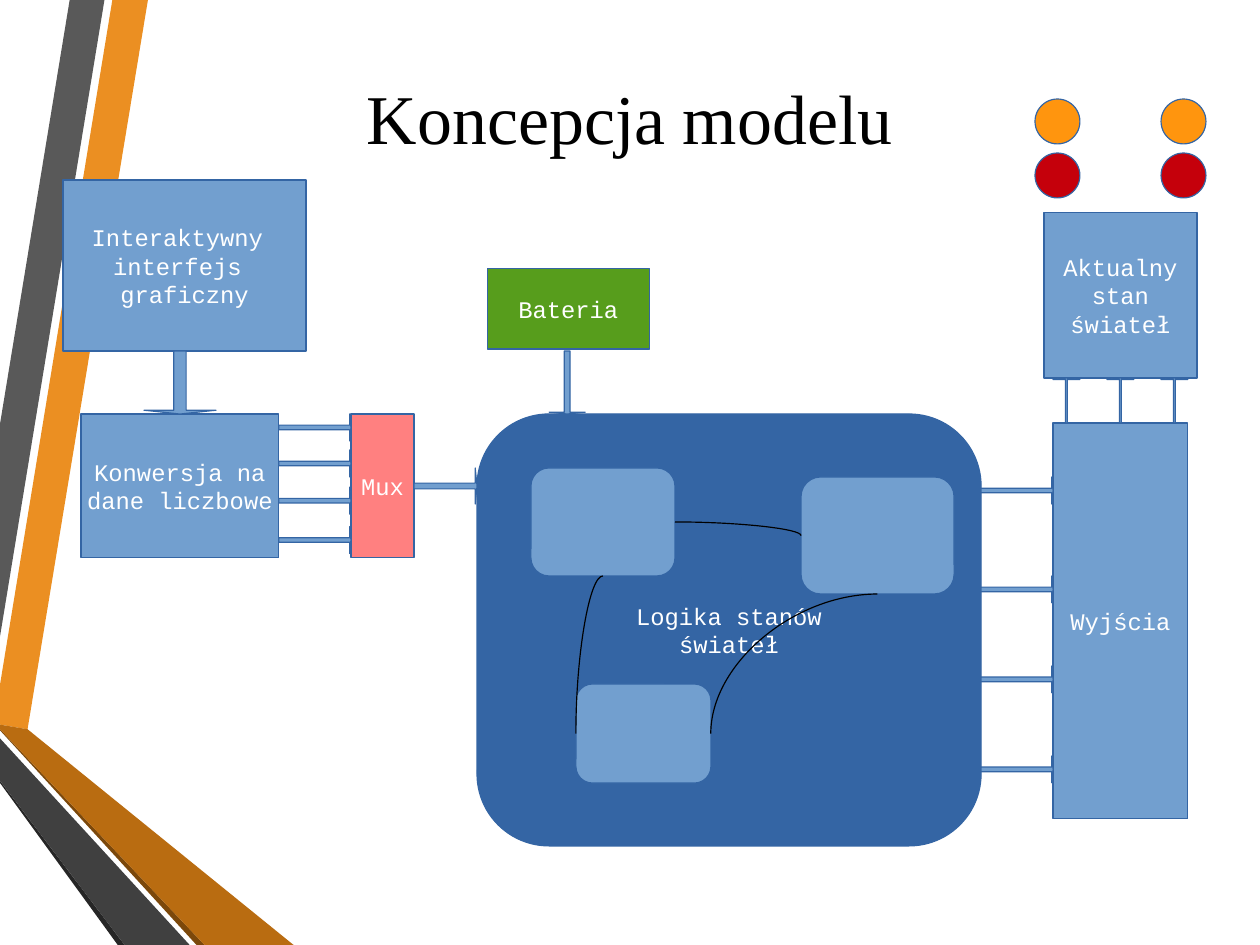
"""Builds the slide with the block diagram of the traffic light model."""
from lxml import etree
from pptx import Presentation
from pptx import util as u
from pptx.dml.color import RGBColor
from pptx.enum import shapes, text
from pptx.oxml import ns

COLORS = {
    "orange": "EB8F22", "grey": "595959", "black_edge": "262626", "brown_edge": "7B480B",
    "brown": "B96C11", "dark_grey": "404040", "block": "729FCF", "outline": "3465A4",
    "mux": "FF8080", "battery": "579D1C", "amber": "FF950E", "red": "C5000B",
    "white": "FFFFFF", "black": "000000",
}
KIND = shapes.MSO_SHAPE


def write(frame, content, font="Courier New", size=15, color="white", margins=(7.2, 3.6), wrap=False):
    frame.word_wrap = wrap
    frame.vertical_anchor = text.MSO_ANCHOR.MIDDLE
    frame.margin_left = frame.margin_right = u.Pt(margins[0])
    frame.margin_top = frame.margin_bottom = u.Pt(margins[1])
    frame.text = content
    for line in frame.paragraphs:
        line.alignment = text.PP_ALIGN.CENTER
        line.font.name = font
        line.font.size = u.Pt(size)
        line.font.color.rgb = RGBColor.from_string(COLORS[color])


def draw(kind, left, top, width, height, fill="block", adjust=()):
    part = slide.shapes.add_shape(kind, u.Pt(left), u.Pt(top), u.Pt(width), u.Pt(height))
    part.shadow.inherit = False
    part.fill.solid()
    part.fill.fore_color.rgb = RGBColor.from_string(COLORS[fill])
    part.line.color.rgb = RGBColor.from_string(COLORS["outline"])
    part.line.width = u.Pt(0.75)
    for index, value in enumerate(adjust):
        part.adjustments[index] = value
    return part


deck = Presentation()
deck.slide_width, deck.slide_height = u.Pt(793.7), u.Pt(595.3)
slide = deck.slides.add_slide(deck.slide_layouts[6])

ribbons = [
    ("orange", [(0, 431.5), (0, 456.5), (17.4, 459.4), (93.2, 0), (70.8, 0)]),
    ("grey", [(65.8, 0), (43.9, 0), (0, 267.1), (0, 401)]),
    ("black_edge", [(0, 491.8), (0, 493.2), (74.2, 595.3), (78.5, 595.3)]),
    ("brown_edge", [(0, 459.4), (0, 460.1), (123.8, 595.3), (128.9, 595.3)]),
    ("brown", [(0, 459.4), (128.9, 595.3), (185, 595.3), (17.4, 459.4), (0, 456.5)]),
    ("dark_grey", [(0, 491.8), (78.5, 595.3), (119.5, 595.3), (0, 465.1)]),
]
for color, corners in ribbons:
    points = [(u.Pt(x), u.Pt(y)) for x, y in corners]
    builder = slide.shapes.build_freeform(*points[0])
    builder.add_line_segments(points[1:], close=True)
    ribbon = builder.convert_to_shape()
    ribbon.shadow.inherit = False
    ribbon.fill.solid()
    ribbon.fill.fore_color.rgb = RGBColor.from_string(COLORS[color])
    ribbon.line.fill.background()

title = slide.shapes.add_textbox(u.Pt(39.7), u.Pt(23.7), u.Pt(714.3), u.Pt(99.4))
write(title.text_frame, "Koncepcja modelu", font="Times New Roman", size=44,
      color="black", margins=(0, 0), wrap=True)

blocks = [
    (KIND.RECTANGLE, "Interaktywny \ninterfejs \ngraficzny", (39.7, 113.4, 153.1, 107.7), "block"),
    (KIND.RECTANGLE, "Konwersja na\ndane liczbowe", (51, 260.8, 124.7, 90.7), "block"),
    (KIND.RECTANGLE, "Mux", (221.1, 260.8, 39.7, 90.7), "mux"),
    (KIND.ROUNDED_RECTANGLE, "Logika stanów\nświateł", (300.5, 260.8, 317.5, 272.1), "outline"),
    (KIND.RECTANGLE, "Bateria", (307, 168.9, 102, 51), "battery"),
    (KIND.RECTANGLE, "Wyjścia", (663.3, 266.5, 85, 249.4), "block"),
    (KIND.RECTANGLE, "Aktualny\nstan\nświateł", (657.6, 133.9, 96.4, 104.3), "block"),
]
for kind, label, place, fill in blocks:
    write(draw(kind, *place, fill=fill).text_frame, label)

for state in [(334.5, 294.8, 90.7, 68), (362.8, 430.9, 85, 62.4), (504.6, 300.5, 96.4, 73.7)]:
    draw(KIND.ROUNDED_RECTANGLE, *state)

transitions = [
    (379.8, 362.8, 362.8, 462.1),
    (425.2, 328.8, 504.6, 337.4),
    (552.8, 374.2, 447.8, 462.1),
]
for ends in transitions:
    transition = slide.shapes.add_connector(shapes.MSO_CONNECTOR.CURVE, *map(u.Pt, ends))
    transition.line.color.rgb = RGBColor.from_string(COLORS["black"])
    transition.line.width = u.Pt(0.75)
    properties = transition._element.spPr
    properties.find(ns.qn("a:prstGeom")).set("prst", "curvedConnector2")
    etree.SubElement(properties, ns.qn("a:effectLst"))

draw(KIND.DOWN_ARROW, 90.7, 221.1, 45.4, 39.7, adjust=(0.17, 0.06))
draw(KIND.DOWN_ARROW, 345.9, 221.1, 22.7, 39.7, adjust=(0.16, 0.05))
draw(KIND.RIGHT_ARROW, 260.8, 294.8, 39.7, 22.7, adjust=(0.16, 0.05))
for left, tops in [(175.7, (260.8, 283.5, 306.9, 331.7)), (618, (300.5, 362.8, 419.5, 476.2))]:
    for top in tops:
        draw(KIND.RIGHT_ARROW, left, top, 45.4, 17, adjust=(0.17, 0.05))

for column in range(3):
    draw(KIND.UP_ARROW, 663.3 + 34 * column, 238.2, 17, 28.3, adjust=(0.07, 0.05))

for left in (652, 731.4):
    for top, light in [(62.4, "amber"), (96.4, "red")]:
        draw(KIND.OVAL, left, top, 28.3, 28.3, fill=light)

deck.save("out.pptx")
